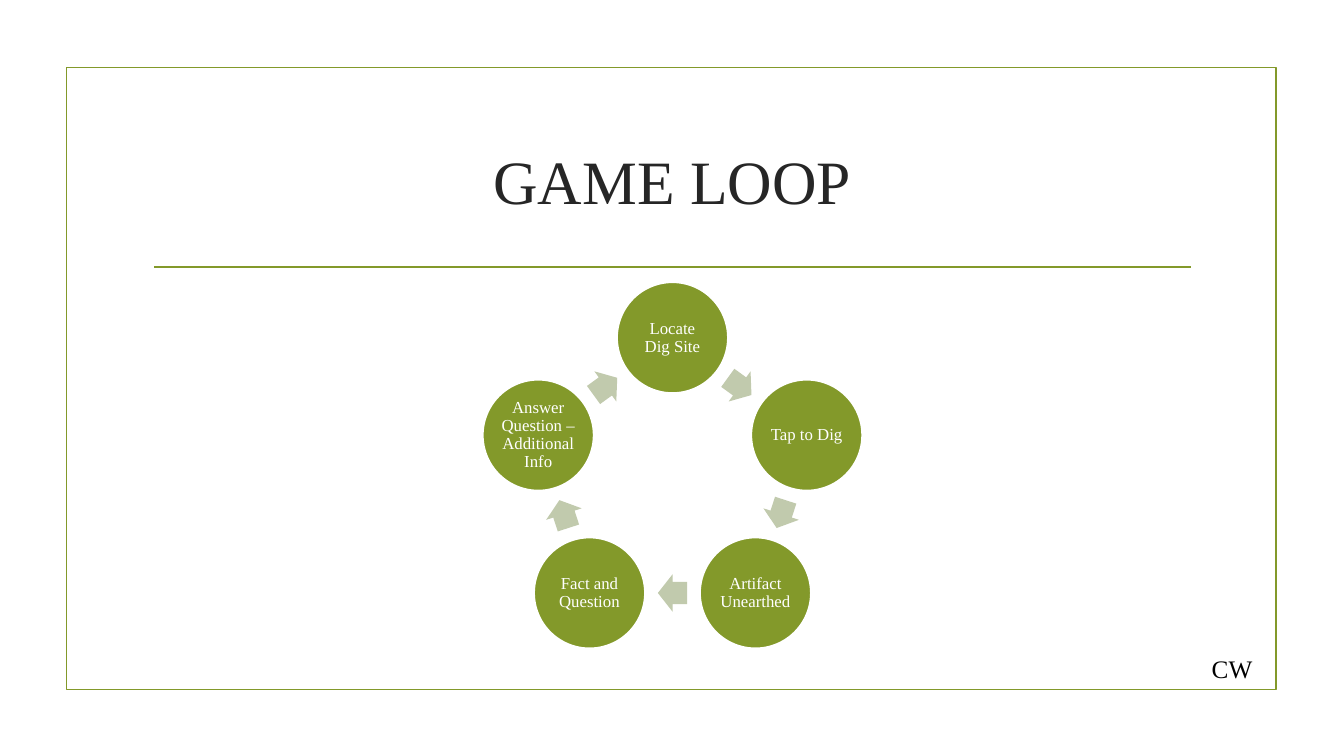
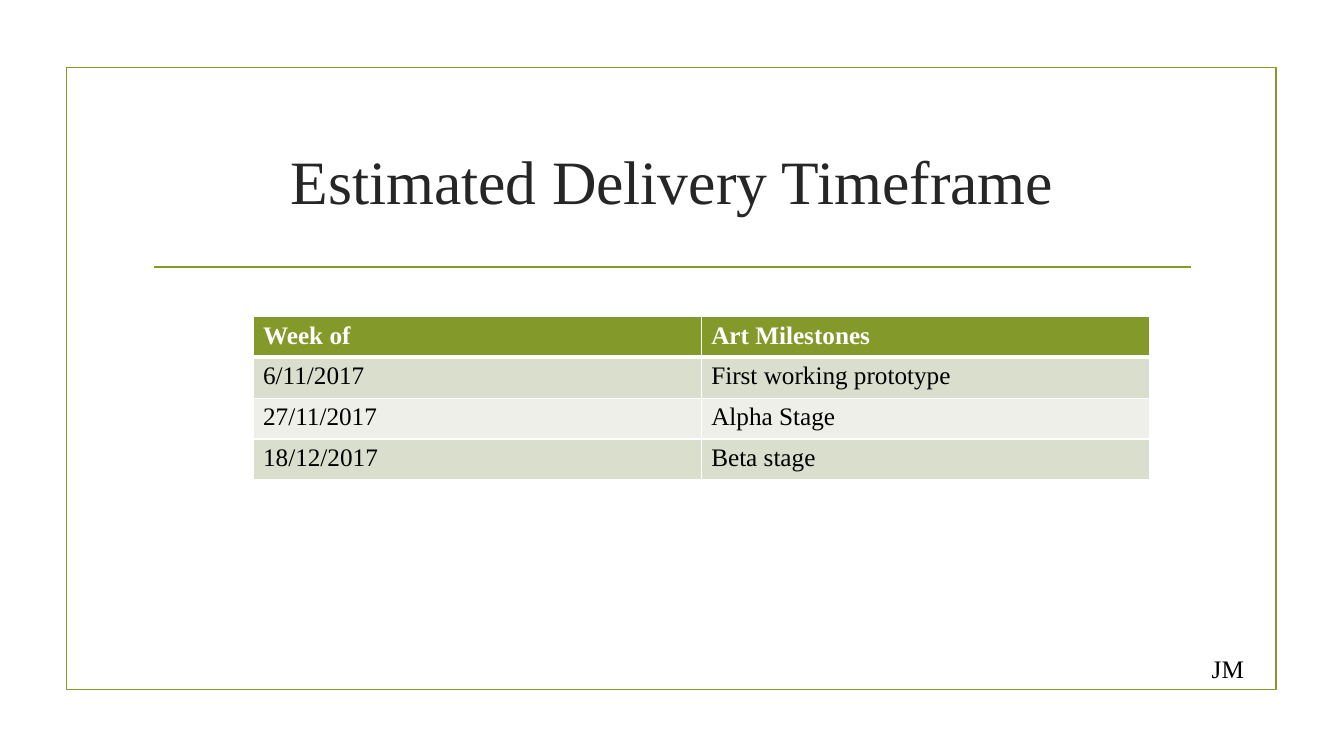
from math import cos, radians, sin

from lxml.etree import SubElement
from pptx import Presentation
from pptx.dml.color import RGBColor
from pptx.enum.shapes import MSO_CONNECTOR, MSO_SHAPE
from pptx.enum.text import MSO_ANCHOR, MSO_AUTO_SIZE, PP_ALIGN
from pptx.oxml.ns import qn
from pptx.util import Inches, Pt

COLORS = {
    "green": "83992A",
    "arrow": "C1CAAD",
    "title": "262626",
    "text": "000000",
    "white": "FFFFFF",
    "band_dark": "D9DECD",
    "band_light": "EDEFE8",
}
FONT = "Times New Roman"


def rgb(name):
    return RGBColor.from_string(COLORS[name])


def write(text_frame, text, size, color, bold=False, align=PP_ALIGN.LEFT):
    """Fill a text frame with one formatted paragraph and return it."""
    paragraph = text_frame.paragraphs[0]
    paragraph.text = text
    paragraph.alignment = align
    paragraph.font.name = FONT
    paragraph.font.size = Pt(size)
    paragraph.font.bold = bold
    paragraph.font.color.rgb = rgb(color)
    return paragraph


presentation = Presentation()
presentation.slide_width = Inches(13.33)
presentation.slide_height = Inches(7.5)
layout = presentation.slide_layouts.get_by_name("Title Only")

# Titles and initials
slides = []
for title_text, initials in (("GAME LOOP", "CW"), ("Estimated Delivery Timeframe", "JM")):
    slide = presentation.slides.add_slide(layout)
    slides.append(slide)

    title = slide.shapes.title
    title.left, title.top = Inches(1.42), Inches(1.07)
    title.width, title.height = Inches(10.5), Inches(1.43)
    title.text_frame.auto_size = MSO_AUTO_SIZE.NONE
    title.text_frame.vertical_anchor = MSO_ANCHOR.MIDDLE
    write(title.text_frame, title_text, 44, "title", align=PP_ALIGN.CENTER)

    initials_box = slide.shapes.add_textbox(Inches(11.92), Inches(6.43), Inches(0.74), Inches(0.4))
    initials_box.text_frame.word_wrap = True
    write(initials_box.text_frame, initials, 18, "text")

loop_slide, schedule_slide = slides

# Frame and title rule, moved to the layout that both slides share
frame = loop_slide.shapes.add_shape(
    MSO_SHAPE.RECTANGLE, Inches(0.66), Inches(0.67), Inches(12), Inches(6.17))
frame.shadow.inherit = False
frame.fill.background()
title_rule = loop_slide.shapes.add_connector(
    MSO_CONNECTOR.STRAIGHT, Inches(1.53), Inches(2.65), Inches(11.81), Inches(2.65))
SubElement(title_rule.element.spPr, qn("a:effectLst"))
for shape in (frame, title_rule):
    shape.line.color.rgb = rgb("green")
    shape.line.width = Pt(1.25)
    layout.shapes.element.append(shape.element)

# Game loop: steps on a circle, each followed by an arrow to the next
steps = ["Locate Dig Site", "Tap to Dig", "Artifact Unearthed",
         "Fact and Question", "Answer Question – Additional Info"]
center_x, center_y, radius = 6.67, 4.75, 1.4
node_size = 1.1
arrow_width, arrow_height = 0.29, 0.37
step_angle = 360 / len(steps)
arrow_radius = radius * cos(radians(step_angle / 2))

for index, step in enumerate(steps):
    angle = index * step_angle
    node = loop_slide.shapes.add_shape(
        MSO_SHAPE.OVAL,
        Inches(center_x + radius * sin(radians(angle)) - node_size / 2),
        Inches(center_y - radius * cos(radians(angle)) - node_size / 2),
        Inches(node_size), Inches(node_size))
    node.shadow.inherit = False
    node.fill.solid()
    node.fill.fore_color.rgb = rgb("green")
    node.line.color.rgb = rgb("white")
    node.line.width = Pt(1.25)
    text_frame = node.text_frame
    text_frame.word_wrap = True
    text_frame.vertical_anchor = MSO_ANCHOR.MIDDLE
    text_frame.margin_left = text_frame.margin_right = Inches(0.02)
    text_frame.margin_top = text_frame.margin_bottom = Inches(0.02)
    paragraph = write(text_frame, step, 12, "white", align=PP_ALIGN.CENTER)
    paragraph.line_spacing = 0.9

    arrow_angle = angle + step_angle / 2
    arrow = loop_slide.shapes.add_shape(
        MSO_SHAPE.RIGHT_ARROW,
        Inches(center_x + arrow_radius * sin(radians(arrow_angle)) - arrow_width / 2),
        Inches(center_y - arrow_radius * cos(radians(arrow_angle)) - arrow_height / 2),
        Inches(arrow_width), Inches(arrow_height))
    arrow.rotation = arrow_angle
    arrow.adjustments[0] = 0.6
    arrow.adjustments[1] = 0.5
    arrow.shadow.inherit = False
    arrow.fill.solid()
    arrow.fill.fore_color.rgb = rgb("arrow")
    arrow.line.fill.background()

# Delivery schedule
milestones = [
    ("Week of", "Art Milestones"),
    ("6/11/2017", "First working prototype"),
    ("27/11/2017", "Alpha Stage"),
    ("18/12/2017", "Beta stage"),
]
row_fills = ["green", "band_dark", "band_light", "band_dark"]
table = schedule_slide.shapes.add_table(
    len(milestones), 2, Inches(2.51), Inches(3.14), Inches(8.89), Inches(1.62)).table

for row_index, (values, fill) in enumerate(zip(milestones, row_fills)):
    is_header = row_index == 0
    for column_index, value in enumerate(values):
        cell = table.cell(row_index, column_index)
        write(cell.text_frame, value, 18, "white" if is_header else "text", bold=is_header)
        border_widths = {
            "a:lnL": 1,
            "a:lnR": 1,
            "a:lnT": 3 if row_index == 1 else 1,
            "a:lnB": 3 if is_header else 1,
        }
        cell_properties = cell._tc.get_or_add_tcPr()
        for tag, width in border_widths.items():
            border = SubElement(cell_properties, qn(tag), w=str(Pt(width)))
            border_fill = SubElement(border, qn("a:solidFill"))
            SubElement(border_fill, qn("a:srgbClr"), val=COLORS["white"])
        cell.fill.solid()
        cell.fill.fore_color.rgb = rgb(fill)

presentation.save("out.pptx")
